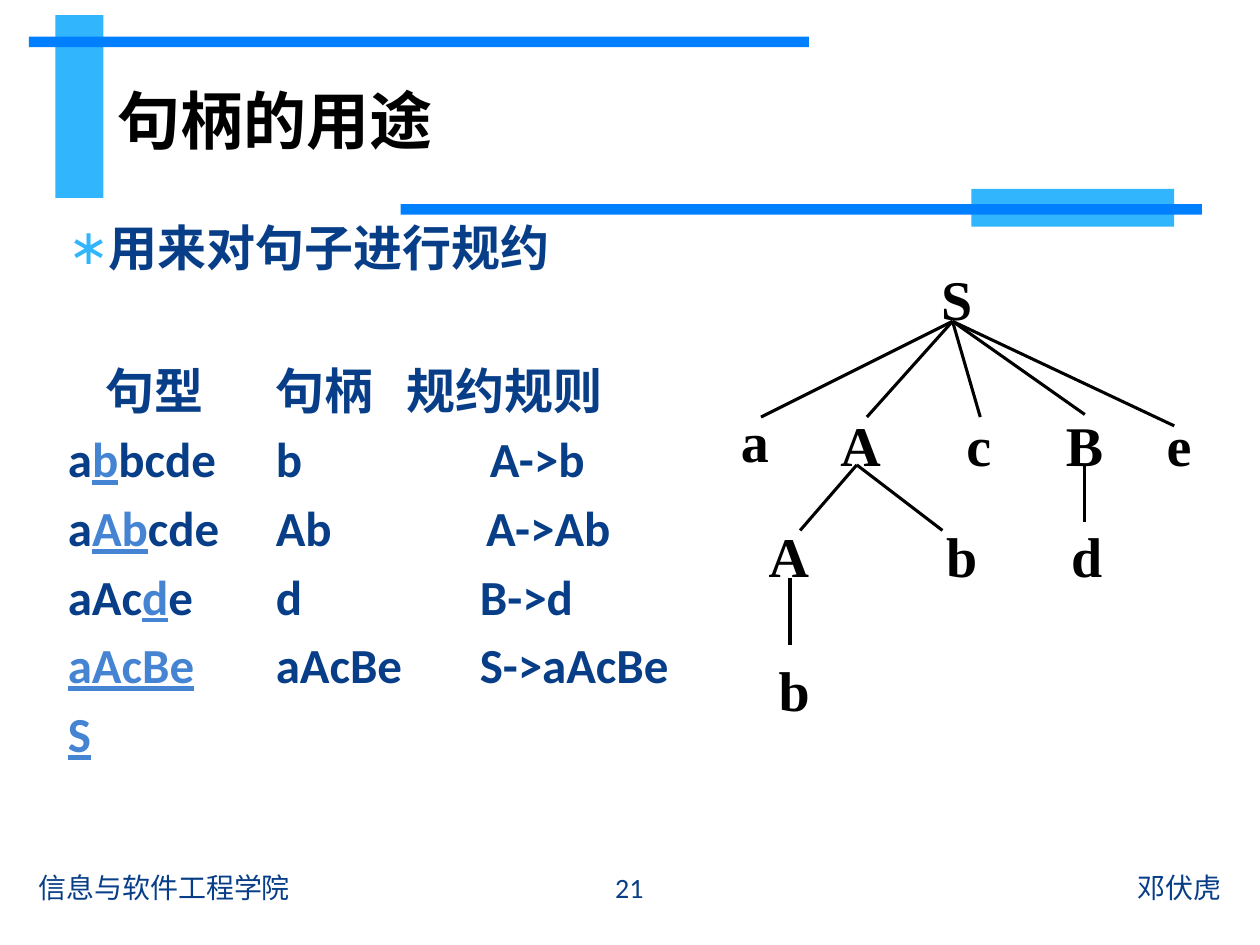
from dataclasses import dataclass
from typing import NamedTuple

from lxml.etree import SubElement
from pptx import Presentation
from pptx.dml.color import RGBColor
from pptx.enum.shapes import MSO_CONNECTOR, MSO_SHAPE
from pptx.enum.text import MSO_ANCHOR, MSO_AUTO_SIZE, PP_ALIGN
from pptx.oxml.ns import qn
from pptx.util import Emu, Inches, Pt

COLORS = {"sky": "31B6FD", "blue": "0080FF", "navy": "073E87", "handle": "4584D3", "black": "000000"}
COLUMNS, ROWS = 100, 75
GAP = Pt(5.6)


class Area(NamedTuple):
    column: float
    row: float
    columns: float
    rows: float


@dataclass
class Bar:
    area: Area
    color: str


@dataclass
class Node:
    letter: str
    area: Area


@dataclass
class Branch:
    start: tuple[float, float]
    ends: list[tuple[float, float]]


@dataclass
class Footer:
    words: str
    area: Area
    align: PP_ALIGN


@dataclass
class Step:
    before: str
    handle: str
    after: str
    reduced: str = ""
    rule: str = ""
    rule_column: float = 16.2


BARS = [
    Bar(Area(4.4, 1.2, 3.8, 14.5), "sky"),
    Bar(Area(2.3, 2.9, 61.9, 0.85), "blue"),
    Bar(Area(77.1, 15, 16.1, 3), "sky"),
    Bar(Area(31.8, 16.2, 63.6, 0.85), "blue"),
]
NODES = [
    Node("S", Area(74.7, 21, 2.5, 5.4)),
    Node("a", Area(58.8, 32.3, 2.2, 5.4)),
    Node("A", Area(66.7, 32.6, 3.2, 5.4)),
    Node("c", Area(76.7, 32.6, 2, 5.4)),
    Node("B", Area(84.6, 32.6, 3, 5.4)),
    Node("e", Area(92.6, 32.6, 2, 5.4)),
    Node("A", Area(61, 41.4, 3.2, 5.4)),
    Node("b", Area(75.1, 41.4, 2.5, 5.4)),
    Node("d", Area(85, 41.4, 2.5, 5.4)),
    Node("b", Area(61.8, 52, 2.5, 5.4)),
]
BRANCHES = [
    Branch((75.6, 25.5), [(60.4, 33.1), (68.8, 33.1), (77.8, 33.1), (86.1, 32.9), (93.2, 33.8)]),
    Branch((68, 36.9), [(63.5, 42.1), (74.8, 42.1)]),
    Branch((86.1, 36.9), [(86.1, 41.4)]),
    Branch((62.7, 45.9), [(62.7, 51.2)]),
]
FOOTERS = [
    Footer("信息与软件工程学院", Area(2.1, 68.4, 41.4, 4), PP_ALIGN.LEFT),
    Footer("21", Area(43.6, 68.4, 12.7, 4), PP_ALIGN.CENTER),
    Footer("邓伏虎", Area(56.5, 68.4, 41.4, 4), PP_ALIGN.RIGHT),
]
STEPS = [
    Step("a", "b", "bcde", "b", "A->b", 17),
    Step("a", "Ab", "cde", "Ab", "A->Ab", 16.7),
    Step("aAc", "d", "e", "d", "B->d"),
    Step("", "aAcBe", "", "aAcBe", "S->aAcBe"),
    Step("", "S", ""),
]

deck = Presentation()
deck.slide_width, deck.slide_height = Inches(10), Inches(7.5)


def across(columns: float) -> Emu:
    return Emu(round(deck.slide_width * columns / COLUMNS))


def down(rows: float) -> Emu:
    return Emu(round(deck.slide_height * rows / ROWS))


def place(area: Area) -> tuple[Emu, Emu, Emu, Emu]:
    return across(area.column), down(area.row), across(area.columns), down(area.rows)


def rgb(name: str) -> RGBColor:
    return RGBColor.from_string(COLORS[name])


def format_runs(para, size: float, color: str, bold: bool = True, face: str = "Calibri") -> None:
    for span in para.runs:
        span.font.size, span.font.bold, span.font.name = Pt(size), bold, face
        span.font.color.rgb = rgb(color)


def add_box(page, area: Area):
    box = page.shapes.add_textbox(*place(area))
    box.text_frame.word_wrap = True
    return box


def next_para(frame, first: bool):
    if first:
        return frame.paragraphs[0]
    para = frame.add_paragraph()
    para.space_before = GAP
    return para


def draw_bar(page, bar: Bar) -> None:
    shape = page.shapes.add_shape(MSO_SHAPE.RECTANGLE, *place(bar.area))
    shape.shadow.inherit = False
    shape.fill.solid()
    shape.fill.fore_color.rgb = rgb(bar.color)
    shape.line.fill.background()


def fill_placeholder(shape, words: str, area: Area, size: float, color: str, face: str, anchor: MSO_ANCHOR):
    shape.left, shape.top, shape.width, shape.height = place(area)
    frame = shape.text_frame
    frame.text = words
    frame.auto_size, frame.vertical_anchor = MSO_AUTO_SIZE.NONE, anchor
    para = frame.paragraphs[0]
    para.alignment, para.space_before = PP_ALIGN.LEFT, Pt(0)
    format_runs(para, size, color, face=face)
    return para


def add_bullet(para, mark: str, color: str) -> None:
    properties = para._p.get_or_add_pPr()
    properties.set("marL", str(across(3)))
    properties.set("indent", str(-across(3)))
    SubElement(SubElement(properties, qn("a:buClr")), qn("a:srgbClr"), val=COLORS[color])
    SubElement(properties, qn("a:buFont"), typeface="Calibri")
    SubElement(properties, qn("a:buChar"), char=mark)


def draw_node(page, node: Node) -> None:
    frame = page.shapes.add_textbox(*place(node.area)).text_frame
    frame.margin_left = frame.margin_right = frame.margin_top = frame.margin_bottom = 0
    frame.word_wrap, frame.auto_size = False, MSO_AUTO_SIZE.SHAPE_TO_FIT_TEXT
    frame.text = node.letter
    format_runs(frame.paragraphs[0], 32, "black", face="Times New Roman")


def draw_branch(page, branch: Branch) -> None:
    x, y = branch.start
    for end_x, end_y in branch.ends:
        line = page.shapes.add_connector(MSO_CONNECTOR.STRAIGHT, across(x), down(y), across(end_x), down(end_y))
        line.line.color.rgb, line.line.width = rgb("black"), Pt(1.75)
        SubElement(line._element.spPr, qn("a:effectLst"))


def draw_footer(page, footer: Footer) -> None:
    frame = add_box(page, footer.area).text_frame
    frame.vertical_anchor = MSO_ANCHOR.MIDDLE
    frame.text = footer.words
    frame.paragraphs[0].alignment = footer.align
    format_runs(frame.paragraphs[0], 16, "navy", bold=False)


def draw_sentences(page, steps: list[Step]) -> None:
    frame = add_box(page, Area(4.4, 28.1, 22.8, 41.3)).text_frame
    heading = next_para(frame, True)
    heading.text = "句型"
    heading._p.get_or_add_pPr().set("marL", str(across(3)))
    format_runs(heading, 28, "navy")
    for step in steps:
        para = next_para(frame, False)
        for words in filter(None, (step.before, step.handle, step.after)):
            para.add_run().text = words
        format_runs(para, 28, "navy")
        handle = para.runs[1 if step.before else 0]
        handle.font.underline, handle.font.color.rgb = True, rgb("handle")


def draw_rules(page, steps: list[Step]) -> None:
    frame = add_box(page, Area(20.9, 28.1, 36.2, 41.3)).text_frame
    lines = [("句柄", "规约规则", 10.4)]
    lines += [(step.reduced, step.rule, step.rule_column) for step in steps if step.rule]
    for index, (reduced, rule, column) in enumerate(lines):
        para = next_para(frame, index == 0)
        tabs = SubElement(para._p.get_or_add_pPr(), qn("a:tabLst"))
        SubElement(tabs, qn("a:tab"), pos=str(across(column)), algn="l")
        para.text = f"{reduced}\t{rule}"
        format_runs(para, 28, "navy")


def main() -> None:
    page = deck.slides.add_slide(deck.slide_layouts[1])
    title, body = page.placeholders
    for bar in BARS:
        draw_bar(page, bar)
    fill_placeholder(title, "句柄的用途", Area(8.3, 4.4, 77.2, 10.2), 36, "black", "Arial", MSO_ANCHOR.MIDDLE)
    point = fill_placeholder(
        body, "用来对句子进行规约", Area(4.4, 16.8, 91, 6.8), 28, "navy", "Calibri", MSO_ANCHOR.TOP)
    add_bullet(point, "∗", "sky")
    for footer in FOOTERS:
        draw_footer(page, footer)
    for node in NODES:
        draw_node(page, node)
    for branch in BRANCHES:
        draw_branch(page, branch)
    draw_sentences(page, STEPS)
    draw_rules(page, STEPS)
    deck.save("out.pptx")


if __name__ == "__main__":
    main()
